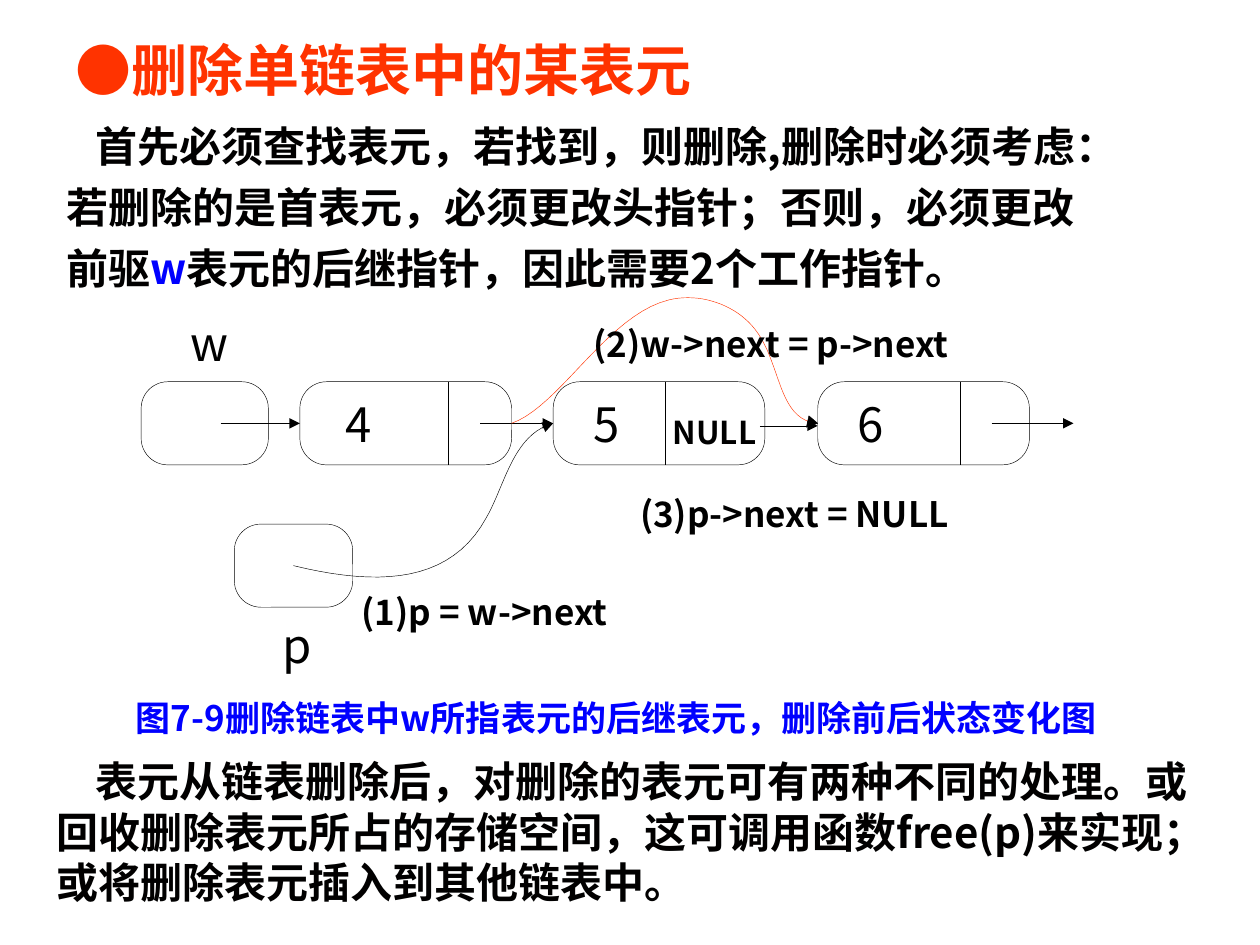
import pptx
import pptx.util
import pptx.dml.color
import pptx.enum.text
import pptx.enum.shapes
import pptx.oxml.ns
import lxml.etree

Inches = pptx.util.Inches
Pt = pptx.util.Pt
RGBColor = pptx.dml.color.RGBColor
Kind = pptx.enum.shapes.MSO_SHAPE
qn = pptx.oxml.ns.qn

FONT = "Noto Sans CJK SC"
BLACK = RGBColor(0x00, 0x00, 0x00)
INK = RGBColor(0x01, 0x00, 0x00)
WHITE = RGBColor(0xFF, 0xFF, 0xFF)
RED = RGBColor(0xFF, 0x33, 0x00)
BLUE = RGBColor(0x00, 0x00, 0xFF)


def write(frame, lines, size, color, bold, pad=True, dent=0, gap=0, anchor="TOP"):
    side, edge = (0.1, 0.05) if pad else (0, 0)
    form = {
        "word_wrap": True,
        "auto_size": pptx.enum.text.MSO_AUTO_SIZE.NONE,
        "vertical_anchor": pptx.enum.text.MSO_ANCHOR[anchor],
        "margin_left": Inches(side),
        "margin_right": Inches(side),
        "margin_top": Inches(edge),
        "margin_bottom": Inches(edge),
    }
    for key, val in form.items():
        setattr(frame, key, val)
    for num, line in enumerate(lines):
        para = frame.add_paragraph() if num else frame.paragraphs[0]
        para.alignment = pptx.enum.text.PP_ALIGN.LEFT
        para._p.get_or_add_pPr().set("hangingPunct", "0")
        if num:
            para.space_before = Pt(gap)
        elif dent:
            para._p.get_or_add_pPr().set("indent", str(Inches(dent)))
        for text, tint in line:
            run = para.add_run()
            run.text = text
            look = {"name": FONT, "size": Pt(size), "bold": bold}
            for key, val in look.items():
                setattr(run.font, key, val)
            run.font.color.rgb = tint or color
            east = lxml.etree.SubElement(run._r.get_or_add_rPr(), qn("a:ea"))
            east.set("typeface", FONT)


def draw(shape, color=BLACK, head=False):
    shape.line.color.rgb = color
    shape.line.width = Pt(0.25)
    if head:
        tail = lxml.etree.SubElement(shape.line._get_or_add_ln(), qn("a:tailEnd"))
        tail.set("type", "triangle")
    lxml.etree.SubElement(shape._element.spPr, qn("a:effectLst"))


deck = pptx.Presentation()
deck.slide_width = Inches(10)
deck.slide_height = Inches(7.5)
slide = deck.slides.add_slide(deck.slide_layouts[5])
shapes = slide.shapes

title = shapes.title
place = {"left": 0.5, "top": 0.16, "width": 5.67, "height": 0.91}
for key, val in place.items():
    setattr(title, key, Inches(val))
write(title.text_frame, [[("●删除单链表中的某表元", None)]], 32, RED, True, anchor="MIDDLE")
title.text_frame.paragraphs[0].line_spacing = 0.7

intro = [
    [("首先必须查找表元，若找到，则删除,删除时必须考虑：", None)],
    [("若删除的是首表元，必须更改头指针；否则，必须更改", None)],
    [("前驱", None), ("w", BLUE), ("表元的后继指针，因此需要2个工作指针。", None)],
]
body = shapes.add_textbox(Inches(0.43), Inches(0.91), Inches(9.21), Inches(2.05))
write(body.text_frame, intro, 24, INK, True, dent=0.23, gap=6)

nodes = [(1.12, 3.03, 1.01), (2.38, 3.03, 1.68), (4.39, 3.03, 1.68),
         (6.49, 3.03, 1.68), (1.86, 4.16, 0.94)]
for left, top, wide in nodes:
    node = shapes.add_shape(Kind.ROUNDED_RECTANGLE, Inches(left), Inches(top),
                            Inches(wide), Inches(0.66))
    node.adjustments[0] = 0.32
    node.fill.solid()
    node.fill.fore_color.rgb = WHITE
    draw(node)

links = [(x, 3.03, x, 3.69, False) for x in (3.56, 5.28, 7.62)]
links += [(1.75, 3.36, 2.38, 3.36, True), (3.81, 3.36, 4.39, 3.36, True),
          (6.03, 3.38, 6.49, 3.38, True), (7.87, 3.36, 8.52, 3.36, True)]
for *ends, head in links:
    link = shapes.add_connector(pptx.enum.shapes.MSO_CONNECTOR.STRAIGHT,
                                *[Inches(end) for end in ends])
    draw(link, head=head)

curves = [
    ([(2.33, 4.49), (3.03, 4.66), (3.58, 4.62), (3.86, 4.11),
      (4.01, 3.85), (4.07, 3.45), (4.39, 3.36)], BLACK, True),
    ([(4.06, 3.36), (4.44, 3.23), (4.82, 2.5), (5.31, 2.38), (5.56, 2.32),
      (5.84, 2.42), (5.99, 2.61), (6.19, 2.86), (6.17, 3.27), (6.43, 3.35)], RED, False),
]
STEPS = 20
for knots, color, head in curves:
    dots = []
    for base in range(0, len(knots) - 1, 3):
        for step in range(1, STEPS + 1):
            t = step / STEPS
            parts = ((1 - t) ** 3, 3 * t * (1 - t) ** 2, 3 * t * t * (1 - t), t ** 3)
            dots.append([Inches(sum(part * knots[base + i][axis]
                                    for i, part in enumerate(parts))) for axis in (0, 1)])
    pen = shapes.build_freeform(Inches(knots[0][0]), Inches(knots[0][1]))
    pen.add_line_segments(dots, close=False)
    curve = pen.convert_to_shape()
    curve.fill.background()
    draw(curve, color, head)

pen = shapes.build_freeform(Inches(6.49), Inches(3.36))
pen.add_line_segments([(Inches(6.4), Inches(3.39)), (Inches(6.42), Inches(3.3))])
tip = pen.convert_to_shape()
tip.fill.solid()
tip.fill.fore_color.rgb = BLACK
draw(tip)

labels = [
    ("w", 1.51, 2.49, 0.4, 0.45, 27, False),
    ("4", 2.74, 3.14, 0.4, 0.45, 27, False),
    ("5", 4.71, 3.14, 0.4, 0.45, 27, False),
    ("6", 6.81, 3.14, 0.4, 0.45, 27, False),
    ("p", 2.24, 4.89, 0.4, 0.45, 27, False),
    ("NULL", 5.34, 3.28, 0.8, 0.3, 18, True),
    ("(1)p = w->next", 2.87, 4.69, 2.76, 0.33, 20, True),
    ("(2)w->next = p->next", 4.71, 2.56, 3.83, 0.33, 20, True),
    ("(3)p->next = NULL", 5.08, 3.91, 3.31, 0.33, 20, True),
]
for text, left, top, wide, high, size, bold in labels:
    label = shapes.add_textbox(Inches(left), Inches(top), Inches(wide), Inches(high))
    write(label.text_frame, [[(text, None)]], size, BLACK, bold, pad=False)

notes = [
    ("图7-9删除链表中w所指表元的后继表元，删除前后状态变化图",
     0.98, 5.48, 8.58, 0.44, 20, BLUE, 0),
    ("表元从链表删除后，对删除的表元可有两种不同的处理。或回收删除表元所占的存储空间，"
     "这可调用函数free(p)来实现；或将删除表元插入到其他链表中。",
     0.35, 5.95, 9.4, 1.3, 24, INK, 0.31),
]
for text, left, top, wide, high, size, color, dent in notes:
    note = shapes.add_textbox(Inches(left), Inches(top), Inches(wide), Inches(high))
    write(note.text_frame, [[(text, None)]], size, color, True, dent=dent)

deck.save("out.pptx")
